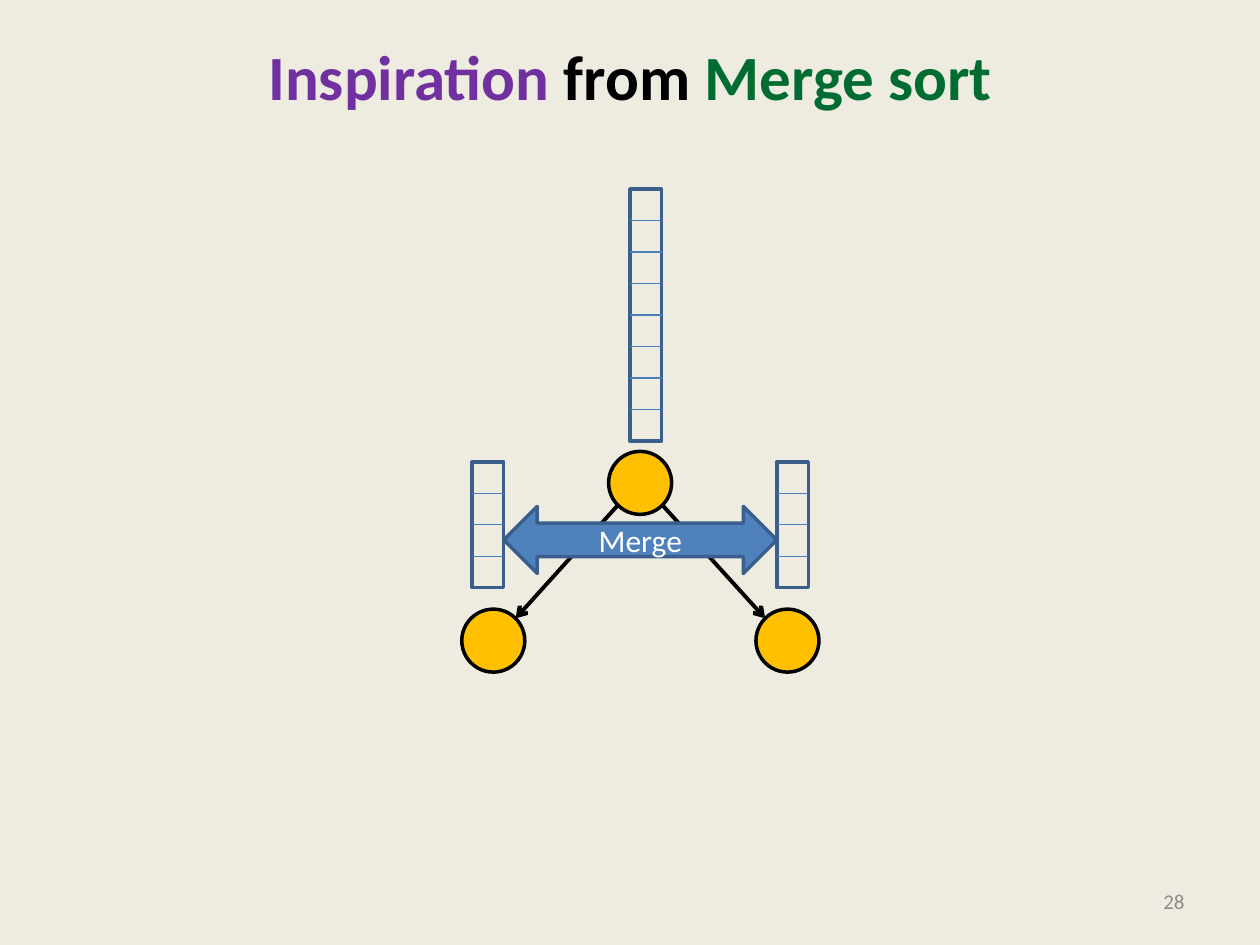
from math import sqrt

from lxml.etree import SubElement
from pptx import Presentation
from pptx.dml.color import RGBColor
from pptx.enum.shapes import MSO_CONNECTOR, MSO_SHAPE
from pptx.enum.text import MSO_ANCHOR, PP_ALIGN
from pptx.oxml.ns import qn
from pptx.util import Cm, Pt

COLORS = {
    "background": "EEECE1",
    "purple": "7030A0",
    "green": "006C31",
    "black": "000000",
    "white": "FFFFFF",
    "gray": "8C8C8C",
    "node": "FFC000",
    "merge": "4F81BD",
    "outline": "3A5F8C",
    "divider": "4B7EBC",
}
FONT = "Calibri"
NODE_SIZE = 1.27
CELL_SIZE = NODE_SIZE / 2


def color(name):
    return RGBColor.from_string(COLORS[name])


def set_font(paragraph, size, color_name=None, bold=False):
    paragraph.font.name = FONT
    paragraph.font.size = Pt(size)
    paragraph.font.bold = bold
    if color_name:
        paragraph.font.color.rgb = color(color_name)


def add_text_frame(slide, left, top, width, height, anchor):
    frame = slide.shapes.add_textbox(Cm(left), Cm(top), Cm(width), Cm(height)).text_frame
    frame.word_wrap = True
    frame.vertical_anchor = anchor
    return frame


def add_figure(slide, preset, left, top, width, height, fill, outline):
    figure = slide.shapes.add_shape(preset, Cm(left), Cm(top), Cm(width), Cm(height))
    figure.shadow.inherit = False
    if fill:
        figure.fill.solid()
        figure.fill.fore_color.rgb = color(fill)
    else:
        figure.fill.background()
    figure.line.color.rgb = color(outline)
    figure.line.width = Pt(2)
    return figure


def add_line(slide, start, end, color_name, width, arrow=False):
    line = slide.shapes.add_connector(
        MSO_CONNECTOR.STRAIGHT, *(Cm(value) for value in (*start, *end)))
    line.line.color.rgb = color(color_name)
    line.line.width = Pt(width)
    if arrow:
        SubElement(line.line._get_or_add_ln(), qn("a:tailEnd"), type="arrow")
    SubElement(line._element.spPr, qn("a:effectLst"))


def add_title(slide, left, top, width, height):
    frame = add_text_frame(slide, left, top, width, height, MSO_ANCHOR.TOP)
    frame.margin_top = 0
    title = frame.paragraphs[0]
    title.alignment = PP_ALIGN.CENTER
    set_font(title, 36, bold=True)
    for words, color_name in (("Inspiration", "purple"), (" from ", "black"),
                              ("Merge sort", "green")):
        run = title.add_run()
        run.text = words
        run.font.color.rgb = color(color_name)


def add_page_number(slide, left, top, width, height):
    frame = add_text_frame(slide, left, top, width, height, MSO_ANCHOR.MIDDLE)
    number = frame.paragraphs[0]
    number.text = "28"
    number.alignment = PP_ALIGN.RIGHT
    set_font(number, 12, "gray")


def add_array(slide, left, top, cells):
    add_figure(slide, MSO_SHAPE.RECTANGLE, left, top, CELL_SIZE, cells * CELL_SIZE,
               None, "outline")
    for cell in range(1, cells):
        y = top + cell * CELL_SIZE
        add_line(slide, (left, y), (left + CELL_SIZE, y), "divider", 0.75)


def add_merge_tree(slide, left, top):
    # Tree nodes
    root = (left + 2.96, top + 5.29)
    leaves = [(left, top + 8.47), (left + 5.93, top + 8.47)]
    for x, y in (root, *leaves):
        add_figure(slide, MSO_SHAPE.OVAL, x, y, NODE_SIZE, NODE_SIZE, "node", "black")

    # Edges meet the circles at 45 degrees
    radius = NODE_SIZE / 2
    reach = radius / sqrt(2)
    for (x, y), side in zip(leaves, (-1, 1)):
        start = (root[0] + radius + side * reach, root[1] + radius + reach)
        end = (x + radius - side * reach, y + radius - reach)
        add_line(slide, start, end, "black", 2.25, arrow=True)

    # Sorted halves and the merged array
    left_half, right_half = left + 0.21, left + 6.35
    for x in (left_half, right_half):
        add_array(slide, x, top + 5.5, 4)
    add_array(slide, left + 3.39, top, 8)

    # Merge arrow spans the gap between the halves
    arrow_left = left_half + CELL_SIZE
    arrow = add_figure(slide, MSO_SHAPE.LEFT_RIGHT_ARROW, arrow_left, top + 6.4,
                       right_half - arrow_left, 1.35, "merge", "outline")
    arrow.text_frame.vertical_anchor = MSO_ANCHOR.MIDDLE
    label = arrow.text_frame.paragraphs[0]
    label.text = "Merge"
    label.alignment = PP_ALIGN.CENTER
    set_font(label, 18, "white")


def main():
    presentation = Presentation()
    presentation.slide_width = Cm(25.4)
    presentation.slide_height = Cm(19.05)
    slide = presentation.slides.add_slide(presentation.slide_layouts[6])
    slide.background.fill.solid()
    slide.background.fill.fore_color.rgb = color("background")

    add_title(slide, 1.27, 0.76, 22.86, 3.18)
    add_page_number(slide, 18.2, 17.65, 5.93, 1.02)
    add_merge_tree(slide, 9.31, 3.81)
    presentation.save("out.pptx")


if __name__ == "__main__":
    main()
